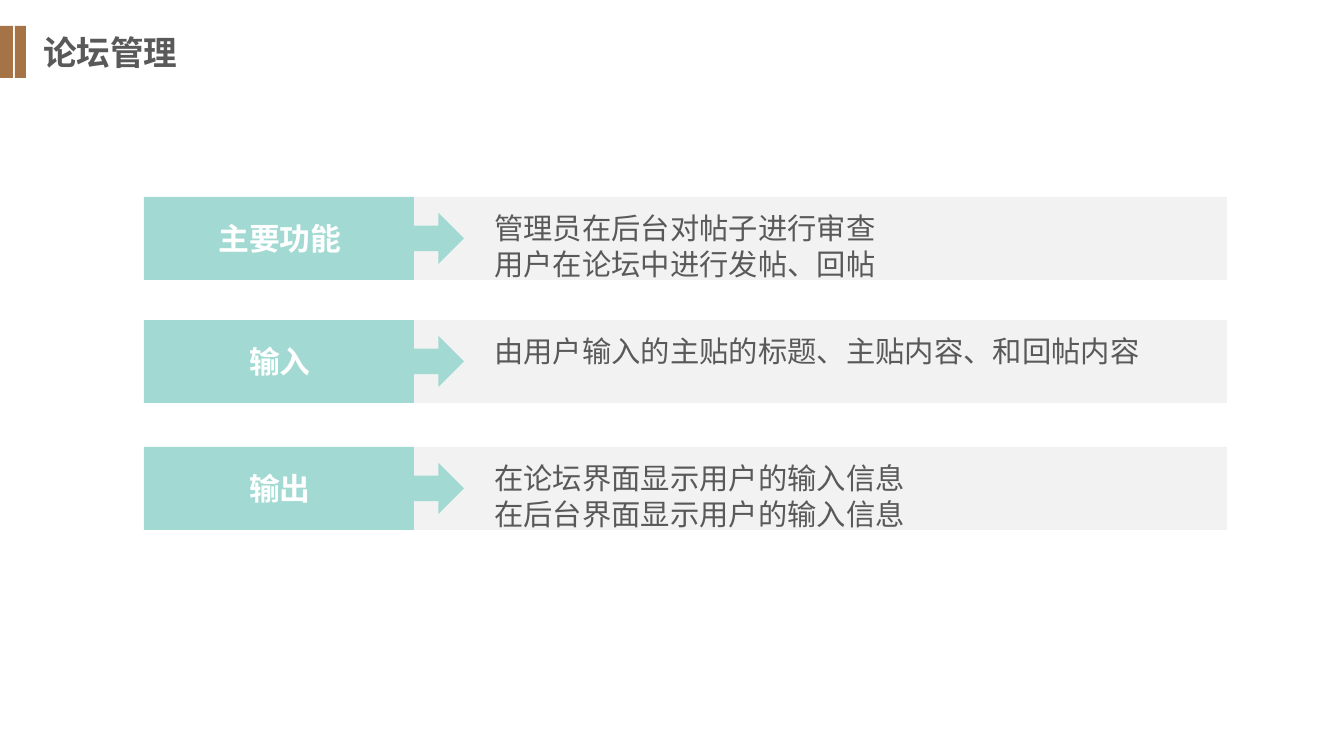
from dataclasses import dataclass

from lxml import etree
from pptx import Presentation
from pptx.dml.color import RGBColor
from pptx.enum import shapes, text
from pptx.oxml import ns
from pptx.util import Emu, Pt

PX = 914400 / 134.4  # EMU in one px


@dataclass(frozen=True)
class Theme:
    accent: str = "A67346"
    label: str = "A2DAD3"
    panel: str = "F2F2F2"
    ink: str = "595959"
    white: str = "FFFFFF"
    heading_font: str = "Noto Sans CJK SC"
    body_font: str = "Arial"
    title_size: float = 18
    label_size: float = 16.5
    body_size: float = 15.7


THEME = Theme()


def px(length):
    return Emu(round(length * PX))


def add_block(slide, kind, left, top, width, height, color):
    shape = slide.shapes.add_shape(kind, px(left), px(top), px(width), px(height))
    shape.shadow.inherit = False
    shape.fill.solid()
    shape.fill.fore_color.rgb = RGBColor.from_string(color)
    shape.line.fill.background()


def add_text(slide, left, top, width, height, lines, font, size, color,
             bold=False, align=text.PP_ALIGN.LEFT):
    frame = slide.shapes.add_textbox(px(left), px(top), px(width), px(height)).text_frame
    frame.word_wrap = True
    frame.text = "\n".join(lines)
    for paragraph in frame.paragraphs:
        paragraph.alignment = align
        paragraph.font.name = font
        paragraph.font.size = Pt(size)
        paragraph.font.bold = bold
        paragraph.font.color.rgb = RGBColor.from_string(color)
        # East Asian typeface, placed right after the Latin one
        latin = paragraph.font._element.find(ns.qn("a:latin"))
        east_asian = etree.Element(ns.qn("a:ea"), typeface=font)
        latin.addnext(east_asian)


def add_header(slide, left, top, height, title):
    # Two accent bars, then the title
    for offset, width in ((0, 13), (15, 11)):
        add_block(slide, shapes.MSO_SHAPE.RECTANGLE, left + offset, top, width, height,
                  THEME.accent)
    add_text(slide, left + 30, top - 1, 332, height + 2, [title], THEME.heading_font,
             THEME.title_size, THEME.ink, bold=True)


def add_row(slide, left, top, width, height, label, lines):
    # Panel, arrow and label block
    add_block(slide, shapes.MSO_SHAPE.RECTANGLE, left + 265, top, width - 265, height,
              THEME.panel)
    add_block(slide, shapes.MSO_SHAPE.RIGHT_ARROW, left + 257, top + 16, 63, 51, THEME.label)
    add_block(slide, shapes.MSO_SHAPE.RECTANGLE, left, top, 270, height, THEME.label)
    # Label and description
    add_text(slide, left + 44, top + 16, 184, 51, [label], THEME.heading_font,
             THEME.label_size, THEME.white, bold=True, align=text.PP_ALIGN.CENTER)
    add_text(slide, left + 337, top + 7, 706, 14 + 35 * len(lines), lines,
             THEME.body_font, THEME.body_size, THEME.ink)


def main():
    presentation = Presentation()
    presentation.slide_width, presentation.slide_height = px(1344), px(756)
    slide = presentation.slides.add_slide(presentation.slide_layouts[6])

    add_header(slide, 0, 26, 52, "论坛管理")
    rows = (
        (197, "主要功能", ["管理员在后台对帖子进行审查", "用户在论坛中进行发帖、回帖"]),
        (320, "输入", ["由用户输入的主贴的标题、主贴内容、和回帖内容"]),
        (447, "输出", ["在论坛界面显示用户的输入信息", "在后台界面显示用户的输入信息"]),
    )
    for top, label, lines in rows:
        add_row(slide, 144, top, 1083, 83, label, lines)

    presentation.save("out.pptx")


if __name__ == "__main__":
    main()
